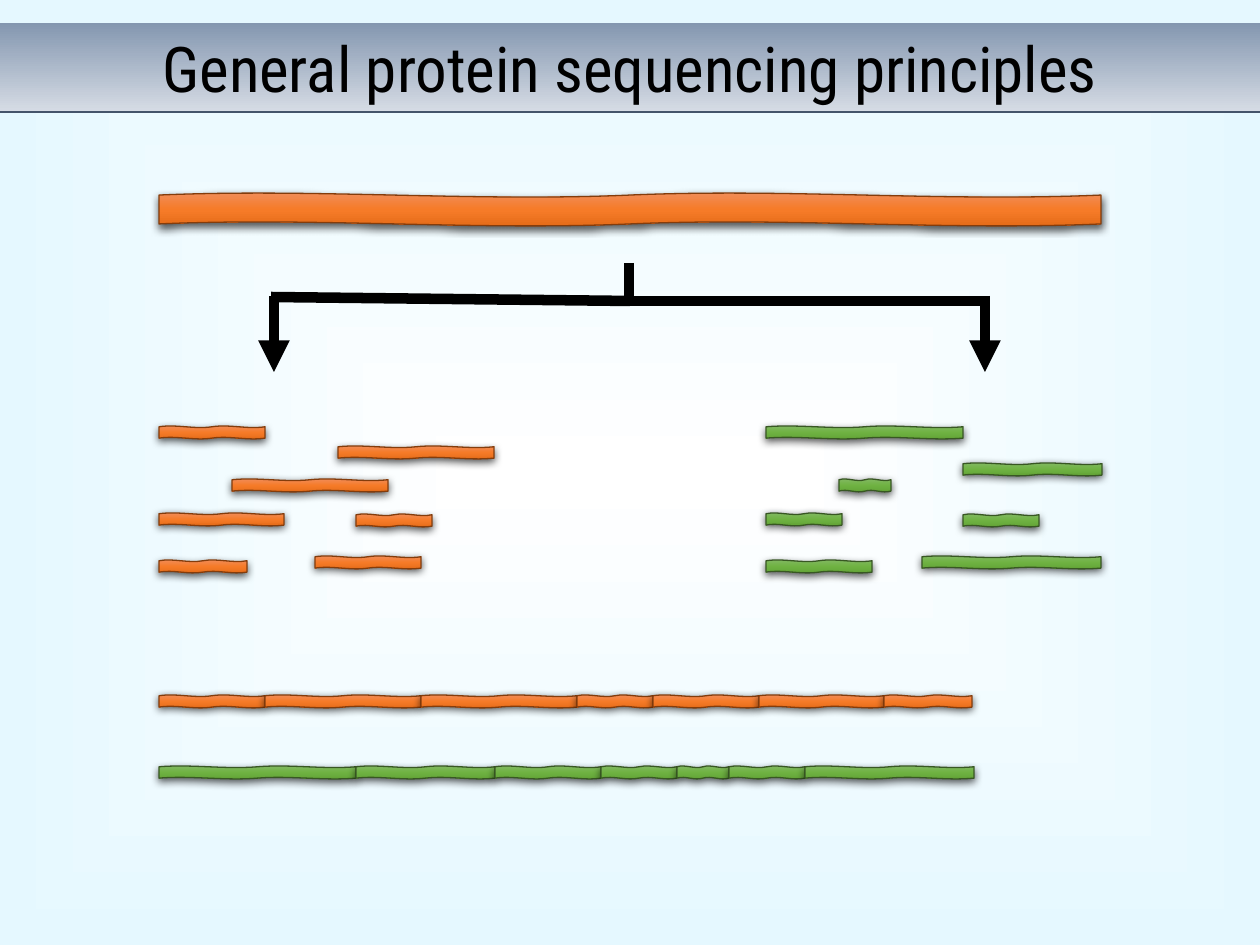
from itertools import accumulate

from lxml import etree
from pptx import Presentation
from pptx import util as u
from pptx.dml.color import RGBColor
from pptx.enum import shapes, text
from pptx.oxml.ns import qn

EMU_PER_PX = 914400 / 126
SLIDE_W, SLIDE_H = 1260, 945
LEFT = 159
FRAGMENT_H = 13

ORANGE = {"stops": [(0, "F18C57"), (50, "F67B28"), (100, "E56C19")], "edge": "843C0B"}
GREEN = {"stops": [(0, "81B861"), (50, "6FB242"), (100, "62A336")], "edge": "385723"}

# Fragments of each digest: x, y, width within the digest box
ORANGE_DIGEST = [(0, 0, 106), (73, 53, 156), (197, 88, 76), (179, 20, 156),
                 (0, 134, 88), (156, 130, 106), (0, 87, 125)]
GREEN_DIGEST = [(0, 0, 197), (73, 53, 52), (197, 88, 76), (197, 37, 139),
                (0, 134, 106), (156, 130, 179), (0, 87, 76)]
# Fragment widths in their assembled order
ORANGE_SEQUENCE = [106, 156, 156, 76, 106, 125, 88]
GREEN_SEQUENCE = [197, 139, 106, 76, 52, 76, 169]


def px(*lengths):
    return [u.Emu(round(length * EMU_PER_PX)) for length in lengths]


def color(hex_value):
    return RGBColor.from_string(hex_value)


def apply(target, values):
    for name, value in values.items():
        setattr(target, name, value)


def add(parent, tag, **attributes):
    return etree.SubElement(parent, qn(tag), {k: str(v) for k, v in attributes.items()})


def paint_gradient(fill, owner, stops, angle=None):
    """Linear gradient at a clockwise angle, or from the centre when there is none."""
    fill.gradient()
    gradient = next(owner.iter(qn("a:gradFill")))
    for child in list(gradient):
        gradient.remove(child)
    stop_list = add(gradient, "a:gsLst")
    for position, hex_value in stops:
        add(add(stop_list, "a:gs", pos=position * 1000), "a:srgbClr", val=hex_value)
    if angle is None:
        center = add(gradient, "a:path", path="rect")
        add(center, "a:fillToRect", l=50000, t=50000, r=50000, b=50000)
    else:
        add(gradient, "a:lin", ang=angle * 60000, scaled=0)


def add_line(parts, start, end, hex_value, width, arrow=False):
    line = parts.add_connector(shapes.MSO_CONNECTOR.STRAIGHT, *px(*start, *end))
    line.line.color.rgb = color(hex_value)
    line.line.width = u.Pt(width)
    properties = line._element.spPr
    if arrow:
        add(properties.find(qn("a:ln")), "a:tailEnd", type="triangle")
    add(properties, "a:effectLst")


def add_strand(parts, x, y, width, height, style):
    strand = parts.add_shape(shapes.MSO_SHAPE.DOUBLE_WAVE, *px(x, y, width, height))
    properties = strand._element.spPr
    paint_gradient(strand.fill, properties, style["stops"], 90)
    strand.line.color.rgb = color(style["edge"])
    strand.line.width = u.Pt(0.75)
    strand.shadow.inherit = False
    shadow = add(properties.find(qn("a:effectLst")), "a:outerShdw", blurRad=u.Pt(4.5),
                 dist=u.Pt(1.5), dir=90 * 60000, algn="ctr", rotWithShape=0)
    add(add(shadow, "a:srgbClr", val="000000"), "a:alpha", val=63000)


def add_title_band(slide, x, y, width, height):
    parts = slide.shapes.add_group_shape().shapes
    band = parts.add_shape(shapes.MSO_SHAPE.RECTANGLE, *px(x, y, width, height))
    paint_gradient(band.fill, band._element.spPr, [(0, "D6DCE5"), (100, "8497B0")], 270)
    band.line.fill.background()
    band.shadow.inherit = False
    frame = band.text_frame
    apply(frame, {"margin_left": 0, "margin_right": 0, "word_wrap": True,
                  "margin_top": u.Inches(0.05), "margin_bottom": u.Inches(0.05),
                  "vertical_anchor": text.MSO_ANCHOR.TOP,
                  "auto_size": text.MSO_AUTO_SIZE.SHAPE_TO_FIT_TEXT})
    title = frame.paragraphs[0]
    title.alignment = text.PP_ALIGN.CENTER
    run = title.add_run()
    run.text = "General protein sequencing principles"
    apply(run.font, {"name": "Roboto Condensed", "size": u.Pt(36)})
    run.font.color.rgb = color("000000")
    add_line(parts, (x, y + height), (x + width, y + height), "44546A", 1)


def add_digest(slide, x, y, fragments, style):
    parts = slide.shapes.add_group_shape().shapes
    for dx, dy, width in fragments:
        add_strand(parts, x + dx, y + dy, width, FRAGMENT_H, style)


def add_sequence(slide, x, y, widths, style):
    for start, width in zip(accumulate(widths, initial=x), widths):
        add_strand(slide.shapes, start, y, width, FRAGMENT_H, style)


def add_split_arrows(slide, x, y, width, height):
    middle, bar, drop = x + 359, y + 38, y + 33
    bottom = y + height
    # Trunk and left branch
    left = slide.shapes.add_group_shape().shapes
    add_line(left, (x, bar - 4), (middle, bar), "000000", 6)
    add_line(left, (x + 3, drop), (x + 3, bottom), "000000", 6, arrow=True)
    add_line(left, (middle - 1, y), (middle - 1, bar), "000000", 6)
    # Right branch
    right = slide.shapes.add_group_shape().shapes
    end = x + width
    add_line(right, (end - 3, drop), (end - 3, bottom), "000000", 6, arrow=True)
    add_line(right, (middle, bar), (end, bar), "000000", 6)


def main():
    deck = Presentation()
    deck.slide_width, deck.slide_height = px(SLIDE_W, SLIDE_H)
    slide = deck.slides.add_slide(deck.slide_layouts[6])
    paint_gradient(slide.background.fill, slide._element, [(0, "FFFFFF"), (100, "E5F8FF")])

    add_title_band(slide, 0, 23, SLIDE_W, 89)
    # Whole protein
    add_strand(slide.shapes, LEFT, 193, 942, 33, ORANGE)
    # Two digests
    add_digest(slide, LEFT, 426, ORANGE_DIGEST, ORANGE)
    add_digest(slide, 766, 426, GREEN_DIGEST, GREEN)
    add_split_arrows(slide, 271, 263, 717, 109)
    # Assembled sequences
    add_sequence(slide, LEFT, 695, ORANGE_SEQUENCE, ORANGE)
    add_sequence(slide, LEFT, 766, GREEN_SEQUENCE, GREEN)

    deck.save("out.pptx")


if __name__ == "__main__":
    main()
